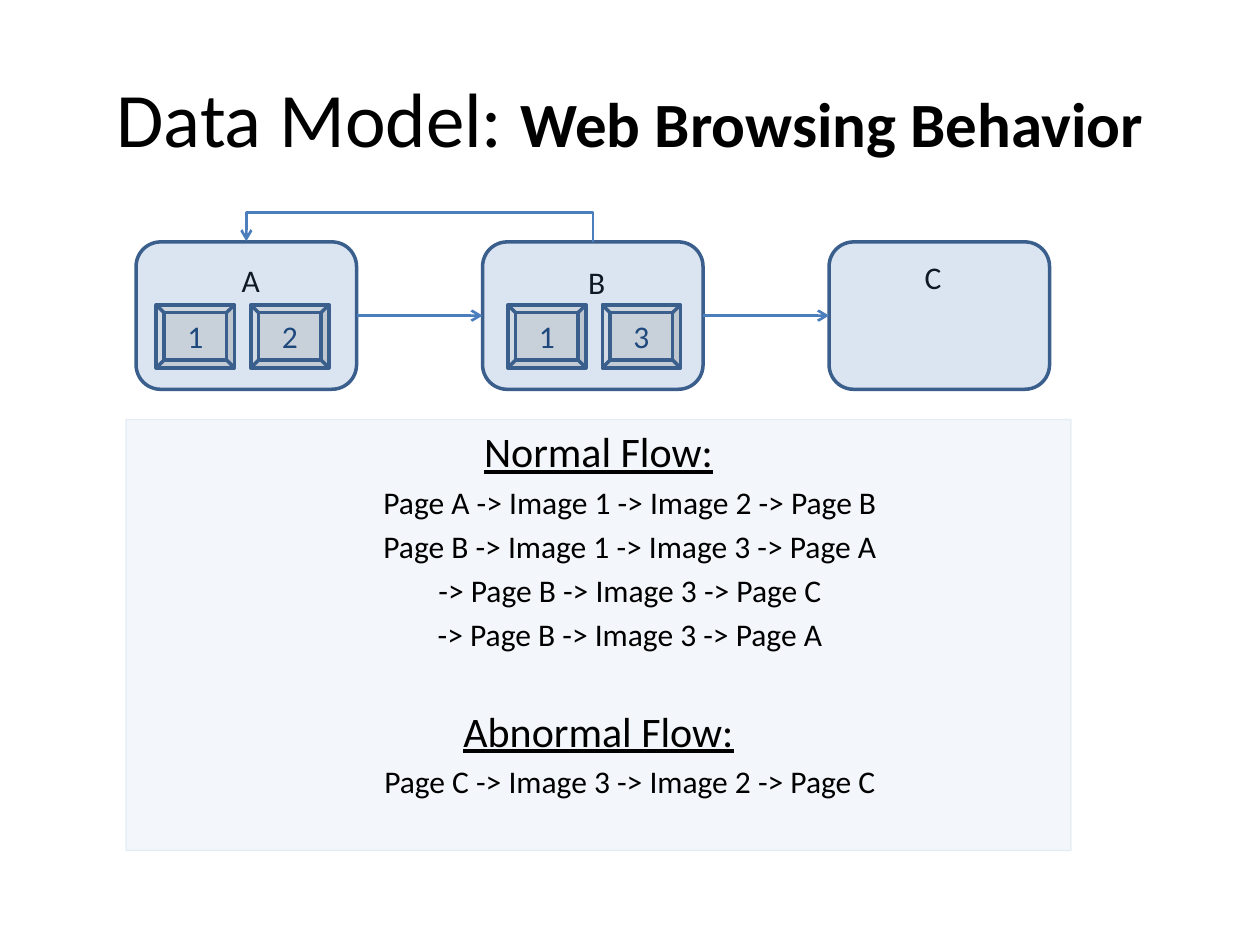
from dataclasses import dataclass

from lxml import etree
from pptx import Presentation
from pptx.dml.color import RGBColor
from pptx.enum.dml import MSO_THEME_COLOR
from pptx.enum.shapes import MSO_CONNECTOR, MSO_SHAPE
from pptx.enum.text import MSO_ANCHOR, MSO_AUTO_SIZE, PP_ALIGN
from pptx.oxml.ns import qn
from pptx.util import Inches, Pt

ROUNDED, BEVEL = MSO_SHAPE.ROUNDED_RECTANGLE, MSO_SHAPE.BEVEL
STRAIGHT, ELBOW = MSO_CONNECTOR.STRAIGHT, MSO_CONNECTOR.ELBOW
CENTER, MIDDLE = PP_ALIGN.CENTER, MSO_ANCHOR.MIDDLE
NO_FIT, GROW = MSO_AUTO_SIZE.NONE, MSO_AUTO_SIZE.SHAPE_TO_FIT_TEXT
TEXT_COLOR = MSO_THEME_COLOR.TEXT_1


@dataclass(frozen=True)
class Theme:
    font: str = "Calibri"
    image_text: str = "1F497D"
    page_fill: str = "4F81BD"
    image_fill: str = "808080"
    outline: str = "3A5F8C"
    arrow: str = "4B7EBC"
    panel_fill: str = "DCE6F2"
    panel_line: str = "B9CDE5"
    title_size: int = 44
    subtitle_size: int = 36
    heading_size: int = 24
    text_size: int = 18


THEME = Theme()

# Page boxes: equal size and pitch
PAGE_LEFT, PAGE_TOP, PAGE_WIDTH, PAGE_HEIGHT = 1.08, 1.92, 1.75, 1.17
PAGE_PITCH = 2.75
IMAGE_TOP, IMAGE_WIDTH, IMAGE_HEIGHT, IMAGE_PITCH = 2.42, 0.62, 0.5, 0.75

# Page name, label position, left of first image, image numbers
PAGES = [
    ("A", (1.82, 2.02), 1.24, "12"),
    ("B", (4.57, 2.04), 4.03, "13"),
    ("C", (7.24, 2.00), 0, ""),
]

FLOWS = [
    ("Normal Flow:", [
        "Page A -> Image 1 -> Image 2 -> Page B",
        "Page B -> Image 1 -> Image 3 -> Page A",
        "-> Page B -> Image 3 -> Page C",
        "-> Page B -> Image 3 -> Page A",
    ]),
    ("Abnormal Flow:", ["Page C -> Image 3 -> Image 2 -> Page C"]),
]


def style_run(run, size, color=None, bold=None, underline=None):
    run.font.name = THEME.font
    run.font.size = Pt(size)
    run.font.bold = bold
    run.font.underline = underline
    if color:
        run.font.color.rgb = RGBColor.from_string(color)
    else:
        run.font.color.theme_color = TEXT_COLOR


def set_alpha(paint, percent):
    color = paint._xPr.find(".//" + qn("a:srgbClr"))
    etree.SubElement(color, qn("a:alpha"), val=str(percent * 1000))


def paint_shape(shape, fill, alpha, line, width):
    shape.fill.solid()
    shape.fill.fore_color.rgb = RGBColor.from_string(fill)
    set_alpha(shape.fill, alpha)
    shape.line.color.rgb = RGBColor.from_string(line)
    shape.line.width = Pt(width)


def add_box(slide, kind, left, top, width, height, fill):
    shape = slide.shapes.add_shape(
        kind, Inches(left), Inches(top), Inches(width), Inches(height))
    shape.shadow.inherit = False
    paint_shape(shape, fill, 20, THEME.outline, 2)
    return shape


def add_label(slide, name, left, top):
    label = slide.shapes.add_textbox(
        Inches(left), Inches(top), Inches(0.34), Inches(0.4))
    frame = label.text_frame
    frame.word_wrap = False
    frame.auto_size = GROW
    frame.text = name
    style_run(frame.paragraphs[0].runs[0], THEME.text_size)


def add_image_box(slide, number, left):
    box = add_box(slide, BEVEL, left, IMAGE_TOP, IMAGE_WIDTH, IMAGE_HEIGHT,
                  THEME.image_fill)
    frame = box.text_frame
    frame.text = number
    frame.vertical_anchor = MIDDLE
    frame.paragraphs[0].alignment = CENTER
    style_run(frame.paragraphs[0].runs[0], THEME.text_size, THEME.image_text)


def add_arrow(slide, kind, start, end):
    arrow = slide.shapes.add_connector(
        kind, *(Inches(value) for value in start + end))
    arrow.line.color.rgb = RGBColor.from_string(THEME.arrow)
    arrow.line.width = Pt(1.5)
    etree.SubElement(arrow.line._get_or_add_ln(), qn("a:tailEnd"), type="arrow")
    etree.SubElement(arrow._element.spPr, qn("a:effectLst"))
    return arrow


def add_return_arrow(slide, start_x, end_x, y, rise):
    """Arrow that leaves one box top, runs above and enters another box top."""
    depth, span = 0.01, start_x - end_x
    middle = (start_x + end_x) / 2
    # The elbow is laid out upright, then turned a quarter to the left
    arrow = add_arrow(slide, ELBOW,
                      (middle - depth / 2, y - span / 2),
                      (middle + depth / 2, y + span / 2))
    properties = arrow._element.spPr
    properties.xfrm.set("rot", str(270 * 60000))
    properties.xfrm.set("flipV", "1")
    guides = properties.find(".//" + qn("a:avLst"))
    etree.SubElement(guides, qn("a:gd"), name="adj1",
                     fmla=f"val {round(rise / depth * 100000)}")


def fill_title(slide):
    title = slide.shapes.title
    title.left, title.top = Inches(0.5), Inches(0.3)
    title.width, title.height = Inches(9), Inches(1.25)
    title.text_frame.text = "Data Model: "
    paragraph = title.text_frame.paragraphs[0]
    style_run(paragraph.runs[0], THEME.title_size)
    subtitle = paragraph.add_run()
    subtitle.text = "Web Browsing Behavior"
    style_run(subtitle, THEME.subtitle_size, bold=True)


def fill_flows(slide):
    body = slide.placeholders[1]
    body.left, body.top = Inches(1), Inches(3.33)
    body.width, body.height = Inches(7.5), Inches(3.42)
    paint_shape(body, THEME.panel_fill, 33, THEME.panel_line, 0.75)
    set_alpha(body.line.fill, 33)

    frame = body.text_frame
    lines = [(text, level) for heading, steps in FLOWS
             for text, level in [(heading, 0)] + [(step, 1) for step in steps]]
    frame.text = "\n".join(text for text, level in lines)
    frame.auto_size = NO_FIT
    for index, (paragraph, (text, level)) in enumerate(zip(frame.paragraphs, lines)):
        paragraph.level = level
        paragraph.alignment = CENTER
        if index and level == 0:
            paragraph.space_before = Pt(30)
        properties = paragraph._p.get_or_add_pPr()
        properties.set("marL", str(Inches(0.5 * level)))
        properties.set("indent", "0")
        etree.SubElement(properties, qn("a:buNone"))
        size = THEME.text_size if level else THEME.heading_size
        style_run(paragraph.runs[0], size, underline=level == 0)


def draw_pages(slide):
    for name, position, image_left, numbers in PAGES:
        add_label(slide, name, *position)
    lefts = [PAGE_LEFT + index * PAGE_PITCH for index in range(len(PAGES))]
    for left in lefts:
        add_box(slide, ROUNDED, left, PAGE_TOP, PAGE_WIDTH, PAGE_HEIGHT,
                THEME.page_fill)
    for name, position, image_left, numbers in PAGES:
        for index, number in enumerate(numbers):
            add_image_box(slide, number, image_left + index * IMAGE_PITCH)

    # Links between the pages
    middle = PAGE_TOP + PAGE_HEIGHT / 2
    for left, next_left in zip(lefts, lefts[1:]):
        add_arrow(slide, STRAIGHT, (left + PAGE_WIDTH, middle), (next_left, middle))
    center = PAGE_WIDTH / 2
    add_return_arrow(slide, lefts[1] + center, lefts[0] + center, PAGE_TOP, 0.24)


def main():
    presentation = Presentation()
    presentation.slide_width, presentation.slide_height = Inches(10), Inches(7.5)
    slide = presentation.slides.add_slide(presentation.slide_layouts[1])
    fill_title(slide)
    fill_flows(slide)
    draw_pages(slide)
    presentation.save("out.pptx")


main()
